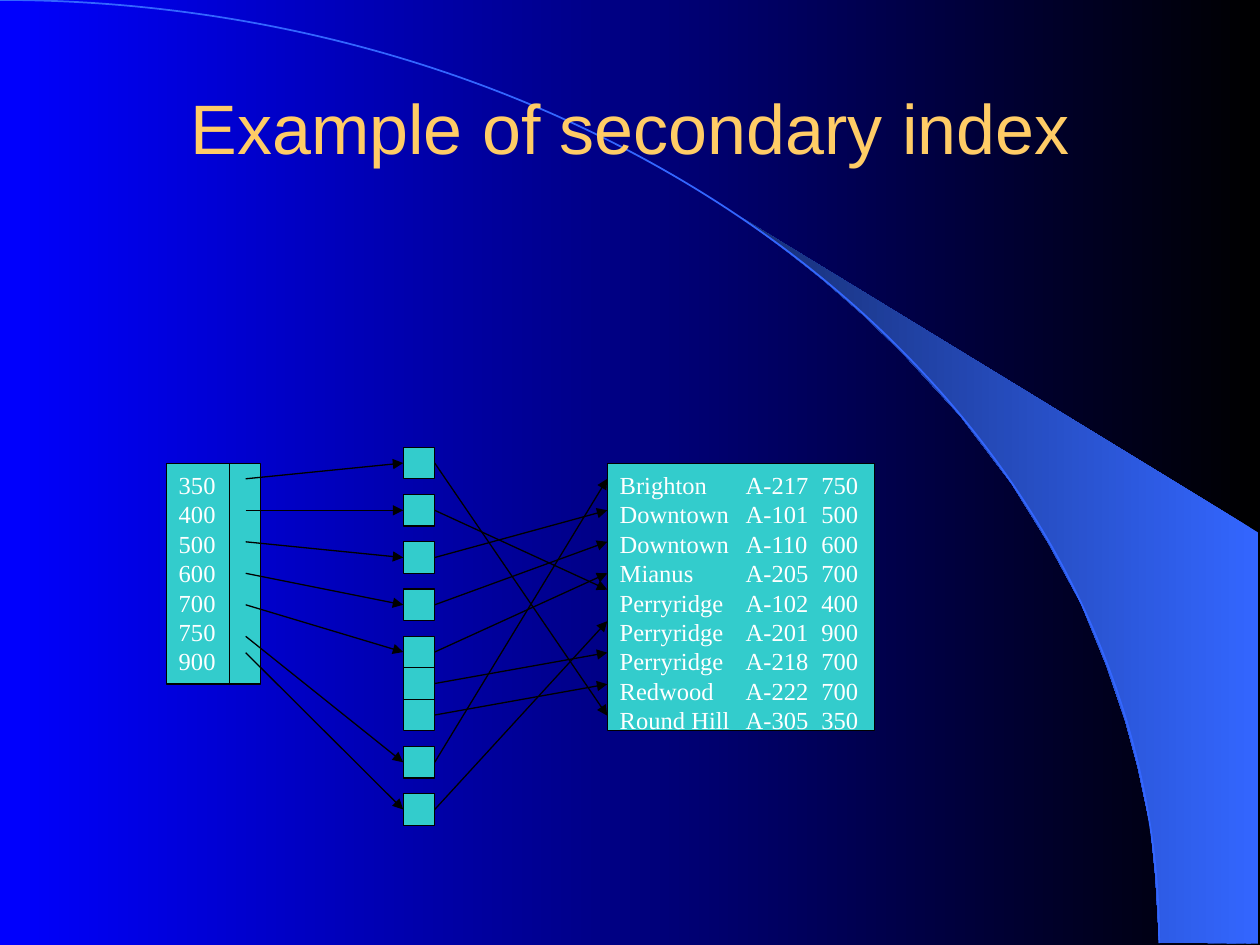
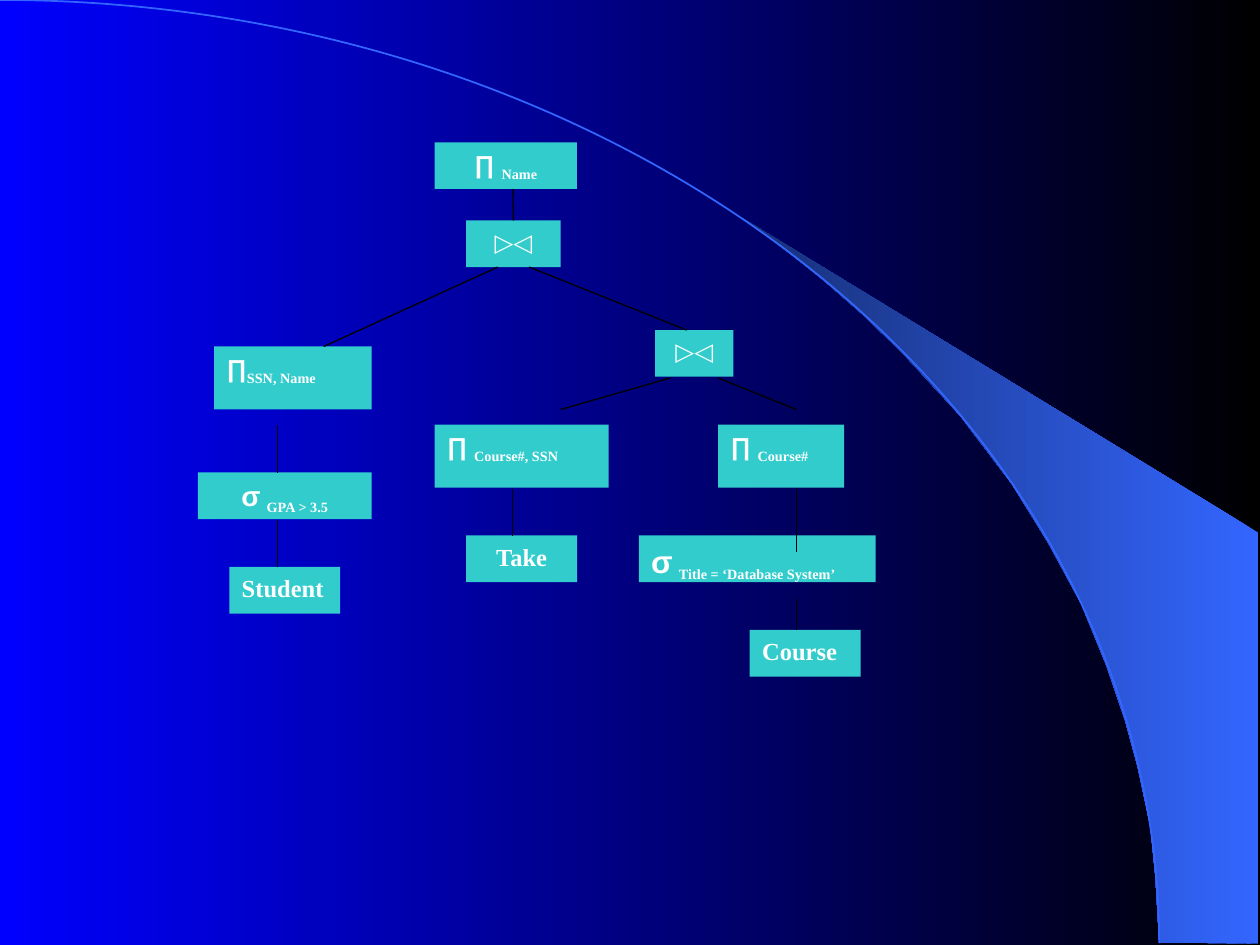
import lxml.etree
import pptx
import pptx.dml.color
import pptx.enum.shapes
import pptx.enum.text
import pptx.oxml.ns
import pptx.util

Inches = pptx.util.Inches
Pt = pptx.util.Pt
rgb = pptx.dml.color.RGBColor.from_string
qn = pptx.oxml.ns.qn
Shapes = pptx.enum.shapes.MSO_SHAPE
LEFT = pptx.enum.text.PP_ALIGN.LEFT
CENTER = pptx.enum.text.PP_ALIGN.CENTER

BLACK, BLUE, WHITE = "000000", "0000FF", "FFFFFF"
TEAL, GOLD = "33CCCC", "FFCC66"
ARC_BLUE, BLADE_DARK = "3366FF", "172F75"
SANS, SERIF = "Arial", "Times New Roman"


def add_box(slide, left, top, width, height, paragraphs=(), align=LEFT,
            bold=False, outlined=False, tab_stops=()):
    """Each paragraph is a list of runs: (text, font name, size, subscript)."""
    shape = slide.shapes.add_shape(
        Shapes.RECTANGLE, Inches(left), Inches(top), Inches(width), Inches(height))
    shape.shadow.inherit = False
    shape.fill.solid()
    shape.fill.fore_color.rgb = rgb(TEAL)
    if outlined:
        shape.line.color.rgb = rgb(BLACK)
        shape.line.width = Pt(0.75)
    else:
        shape.line.fill.background()
    frame = shape.text_frame
    frame.word_wrap = True
    frame.vertical_anchor = pptx.enum.text.MSO_ANCHOR.TOP
    for number, runs in enumerate(paragraphs):
        paragraph = frame.add_paragraph() if number else frame.paragraphs[0]
        paragraph.alignment = align
        if tab_stops:
            tab_list = lxml.etree.SubElement(paragraph._p.get_or_add_pPr(), qn("a:tabLst"))
            for stop in tab_stops:
                lxml.etree.SubElement(tab_list, qn("a:tab"), pos=str(Inches(stop)), algn="l")
        for text, font_name, size, subscript in runs:
            run = paragraph.add_run()
            run.text = text
            run.font.name = font_name
            run.font.size = Pt(size)
            run.font.bold = bold
            run.font.color.rgb = rgb(WHITE)
            if subscript:
                run._r.get_or_add_rPr().set("baseline", "-25000")
    return shape


def add_line(slide, start, end, arrow=False):
    connector = slide.shapes.add_connector(
        pptx.enum.shapes.MSO_CONNECTOR.STRAIGHT,
        *(Inches(value) for value in (*start, *end)))
    connector.line.color.rgb = rgb(BLACK)
    connector.line.width = Pt(0.75)
    if arrow:
        lxml.etree.SubElement(connector.line._get_or_add_ln(), qn("a:tailEnd"), type="triangle")
    lxml.etree.SubElement(connector._element.spPr, qn("a:effectLst"))
    return connector


presentation = pptx.Presentation()
presentation.slide_width = Inches(10)
presentation.slide_height = Inches(7.5)
index_slide = presentation.slides.add_slide(presentation.slide_layouts[5])
tree_slide = presentation.slides.add_slide(presentation.slide_layouts[6])

# Shared background, blade and arc, kept on the slide master
master = presentation.slide_master
# Blade outline in hundredths of an inch, since the builder rounds to whole units
blade_points = [
    (920, 748), (999, 749), (999, 423), (589, 173), (624, 199), (653, 222),
    (685, 250), (716, 280), (762, 330), (803, 384), (832, 431), (858, 479),
    (878, 528), (893, 572), (903, 609), (913, 656), (917, 696)]
builder = index_slide.shapes.build_freeform(*blade_points[0], scale=Inches(0.01))
builder.add_line_segments(blade_points[1:], close=True)
blade = builder.convert_to_shape()
blade.line.fill.background()

arc = index_slide.shapes.add_shape(
    Shapes.ARC, Inches(-9.2), Inches(0), Inches(18.4), Inches(14.97))
arc.fill.background()
arc.line.color.rgb = rgb(ARC_BLUE)
arc.line.width = Pt(1)

for fill, colors in ((master.background.fill, (BLACK, BLUE)),
                     (blade.fill, (ARC_BLUE, BLADE_DARK))):
    fill.gradient()
    fill.gradient_angle = 180
    for stop, position, color in zip(fill.gradient_stops, (0, 1), colors):
        stop.position = position
        stop.color.rgb = rgb(color)

for position, shape in enumerate((blade, arc), start=2):
    shape.shadow.inherit = False
    master.shapes.element.insert(position, shape._element)

# Slide 1: title
title = index_slide.shapes.title
title.left, title.top, title.width, title.height = (
    Inches(value) for value in (0.75, 0.67, 8.5, 0.67))
title.text_frame.vertical_anchor = pptx.enum.text.MSO_ANCHOR.MIDDLE
paragraph = title.text_frame.paragraphs[0]
paragraph.alignment = CENTER
run = paragraph.add_run()
run.text = "Example of secondary index"
run.font.name = SANS
run.font.size = Pt(40)
run.font.color.rgb = rgb(GOLD)

# Slide 1: index keys and records
# key, height of its arrow's start, heights where its record arrows end
index_entries = [
    ("350", 3.8, [5.68]),
    ("400", 4.05, [4.68]),
    ("500", 4.3, [4.05]),
    ("600", 4.55, [4.3]),
    ("700", 4.8, [4.55, 5.18, 5.43]),
    ("750", 5.05, [3.8]),
    ("900", 5.18, [4.93]),
]
records = [
    ("Brighton", "A-217", "750"),
    ("Downtown", "A-101", "500"),
    ("Downtown", "A-110", "600"),
    ("Mianus", "A-205", "700"),
    ("Perryridge", "A-102", "400"),
    ("Perryridge", "A-201", "900"),
    ("Perryridge", "A-218", "700"),
    ("Redwood", "A-222", "700"),
    ("Round Hill", "A-305", "350"),
]
add_box(index_slide, 1.32, 3.68, 0.75, 1.75,
        [[(key, SERIF, 14, False)] for key, *_ in index_entries], outlined=True)
add_line(index_slide, (1.82, 3.68), (1.82, 5.43))
add_box(index_slide, 4.82, 3.68, 2.12, 2.12,
        [[("\t".join(record), SERIF, 14, False)] for record in records],
        outlined=True, tab_stops=(1.0, 1.6))

# Slide 1: buckets, one cell for each record, with their arrows
cell, gap = 0.25, 0.125
bucket_left, bucket_top, records_left = 3.2, 3.55, 4.82
bucket_right = bucket_left + cell
for key, key_height, record_heights in index_entries:
    cell_count = len(record_heights)
    bucket = add_box(index_slide, bucket_left, bucket_top, cell, cell * cell_count, outlined=True)
    key_arrow = add_line(index_slide, (1.95, key_height),
                         (bucket_left, bucket_top + cell / 2), arrow=True)
    if cell_count == 1:
        key_arrow.end_connect(bucket, 1)
    for number, record_height in enumerate(record_heights):
        cell_top = bucket_top + number * cell
        if number:
            add_line(index_slide, (bucket_left, cell_top), (bucket_right, cell_top))
        record_arrow = add_line(index_slide, (bucket_right, cell_top + cell / 2),
                                (records_left, record_height), arrow=True)
        if number == (cell_count - 1) / 2:
            record_arrow.begin_connect(bucket, 3)
    bucket_top += cell * cell_count + gap

# Slide 2: operators with a subscript
# left, top, width, height, alignment, symbol, symbol size, subscript
operators = [
    (3.45, 1.13, 1.13, 0.37, CENTER, "∏ ", 14, "Name"),
    (1.7, 2.75, 1.25, 0.5, LEFT, "∏", 14, "SSN, Name"),
    (3.45, 3.37, 1.38, 0.5, LEFT, "∏ ", 14, "Course#, SSN"),
    (5.7, 3.37, 1, 0.5, LEFT, "∏ ", 14, "Course#"),
    (1.57, 3.75, 1.38, 0.37, CENTER, "σ", 16, "GPA > 3.5"),
    (5.07, 4.25, 1.88, 0.37, LEFT, "σ", 18, "Title = ‘Database System’"),
]
for left, top, width, height, align, symbol, size, subscript in operators:
    runs = [(symbol, SANS, size, False), (subscript, SERIF, 14, True)]
    if symbol == "σ":
        runs.insert(1, (" ", SERIF, 14, False))
    add_box(tree_slide, left, top, width, height, [runs], align, bold=True)

# Slide 2: joins and relations
top_join, course_join = [
    add_box(tree_slide, left, top, width, 0.37, [[("▷◁", SANS, 14, False)]], CENTER, bold=True)
    for left, top, width in ((3.7, 1.75, 0.75), (5.2, 2.62, 0.62))]
for left, top, align, relation in ((1.82, 4.5, LEFT, "Student"),
                                   (3.7, 4.25, CENTER, "Take"),
                                   (5.95, 5, LEFT, "Course")):
    add_box(tree_slide, left, top, 0.88, 0.37, [[(relation, SERIF, 14, False)]], align, bold=True)

# Slide 2: tree branches
add_line(tree_slide, (4.07, 1.5), (4.07, 1.75)).end_connect(top_join, 0)
for start, end in (
        ((3.95, 2.12), (2.57, 2.75)), ((4.2, 2.12), (5.45, 2.62)),
        ((5.32, 3), (4.45, 3.25)), ((5.7, 3), (6.32, 3.25)),
        ((2.2, 3.37), (2.2, 3.75)), ((2.2, 4.13), (2.2, 4.5)),
        ((4.07, 3.88), (4.07, 4.25)),
        ((6.32, 3.88), (6.32, 4.38)), ((6.32, 4.75), (6.32, 5))):
    add_line(tree_slide, start, end)

presentation.save("out.pptx")
